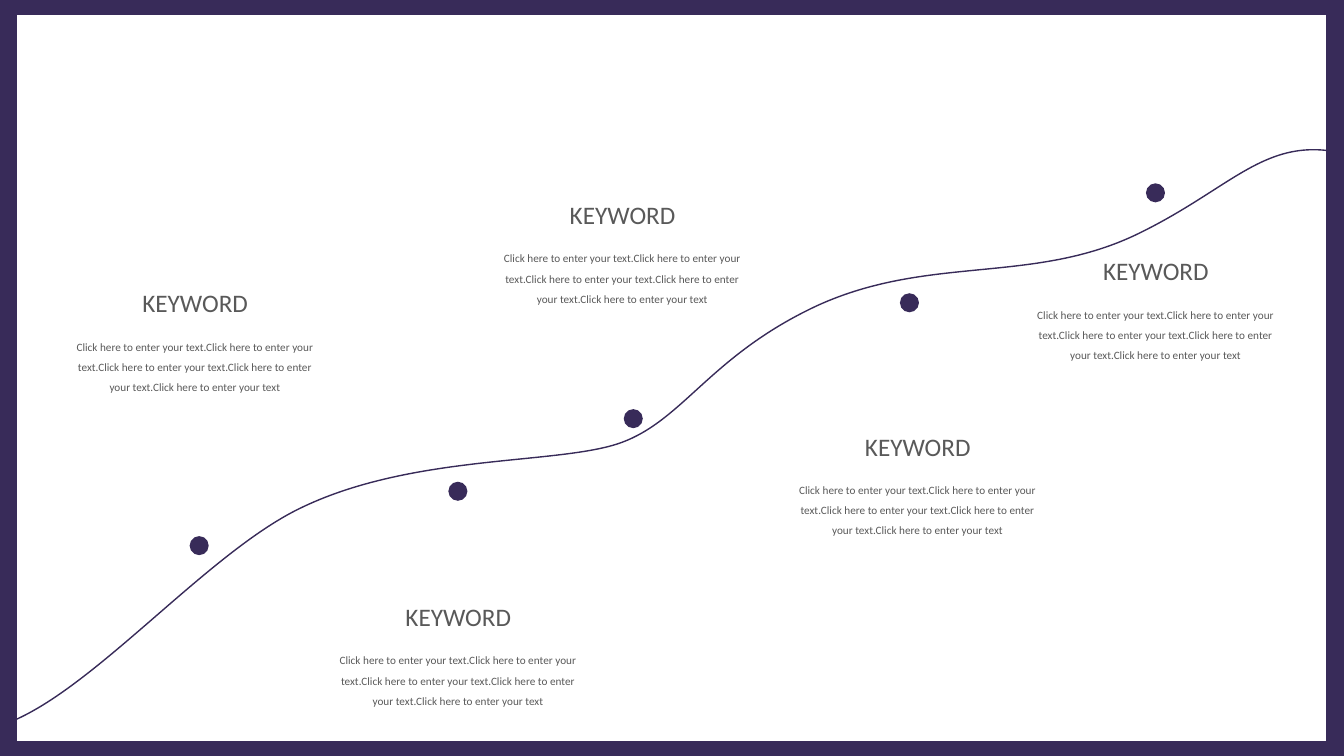
from lxml.etree import SubElement
from pptx import Presentation
from pptx.dml.color import RGBColor
from pptx.enum.shapes import MSO_SHAPE
from pptx.enum.text import MSO_ANCHOR, MSO_AUTO_SIZE, PP_ALIGN
from pptx.oxml.ns import qn
from pptx.util import Cm, Pt

COLORS = {"purple": "382B59", "grey": "595959", "white": "FFFFFF"}
COLORS = {name: RGBColor.from_string(value) for name, value in COLORS.items()}

SENTENCE = "Click here to enter your text."
DESCRIPTION = (SENTENCE * 5).rstrip(".")

# Lengths in centimetres
ROAD_LEFT, ROAD_TOP, ROAD_WIDTH, ROAD_HEIGHT = -0.91, 3.78, 35.1, 14.63
ROAD_START = (-0.91, 18.39)
# Each bend: two control points, then the end point
ROAD_BENDS = [
    [(1.32, 18.69), (4.75, 14.2), (7.52, 12.83)],
    [(10.29, 11.46), (13.87, 11.71), (15.52, 11.2)],
    [(17.2, 10.67), (17.83, 8.99), (20.6, 7.7)],
    [(23.39, 6.43), (25.96, 7.16), (28.58, 5.94)],
    [(31.19, 4.7), (31.95, 3.25), (34.21, 3.96)],
]
# Left and top of each stop's dot, then of its description
STOPS = [
    ((4.78, 13.51), (1.65, 8.28)),
    ((11.3, 12.14), (8.28, 16.18)),
    ((15.72, 10.31), (12.42, 6.05)),
    ((22.68, 7.39), (19.86, 11.89)),
    ((28.88, 4.62), (25.86, 7.47)),
]
DOT_SIZE = 0.48


def add_label(text, left, top, width, height, size, anchor, spacing):
    label = slide.shapes.add_textbox(Cm(left), Cm(top), Cm(width), Cm(height))
    frame = label.text_frame
    frame.text = text
    frame.word_wrap = True
    frame.auto_size = MSO_AUTO_SIZE.SHAPE_TO_FIT_TEXT
    frame.vertical_anchor = anchor
    paragraph = frame.paragraphs[0]
    paragraph.alignment = PP_ALIGN.CENTER
    paragraph.line_spacing = spacing
    font = paragraph.runs[0].font
    font.name = "Calibri"
    font.size = Pt(size)
    font.color.rgb = COLORS["grey"]


def add_path_step(path, tag, points):
    """Append a drawing step whose points are measured from the road's corner."""
    step = SubElement(path, qn(tag))
    for x, y in points:
        SubElement(step, qn("a:pt"), x=str(Cm(x - ROAD_LEFT)), y=str(Cm(y - ROAD_TOP)))


presentation = Presentation()
presentation.slide_width = Cm(33.87)
presentation.slide_height = Cm(19.05)
slide = presentation.slides.add_slide(presentation.slide_layouts[6])
slide.background.fill.solid()
slide.background.fill.fore_color.rgb = COLORS["white"]

border = slide.shapes.add_shape(
    MSO_SHAPE.RECTANGLE, Cm(0.18), Cm(0.13), Cm(33.5), Cm(18.8)
)
border.shadow.inherit = False
border.fill.background()
border.line.color.rgb = COLORS["purple"]
border.line.width = Pt(14.75)

# The road starts as straight pieces, which are then replaced by curves
builder = slide.shapes.build_freeform(Cm(ROAD_START[0]), Cm(ROAD_START[1]))
builder.add_line_segments(
    [(Cm(bend[-1][0]), Cm(bend[-1][1])) for bend in ROAD_BENDS], close=False
)
road = builder.convert_to_shape()
road.left, road.top = Cm(ROAD_LEFT), Cm(ROAD_TOP)
road.width, road.height = Cm(ROAD_WIDTH), Cm(ROAD_HEIGHT)
road.shadow.inherit = False
road.fill.background()
road.line.color.rgb = COLORS["purple"]
road.line.width = Pt(1)

route = road.element.find(".//" + qn("a:path"))
for piece in list(route):
    route.remove(piece)
route.set("w", str(road.width))
route.set("h", str(road.height))
add_path_step(route, "a:moveTo", [ROAD_START])
for bend in ROAD_BENDS:
    add_path_step(route, "a:cubicBezTo", bend)

for (dot_left, dot_top), _ in STOPS:
    dot = slide.shapes.add_shape(
        MSO_SHAPE.OVAL, Cm(dot_left), Cm(dot_top), Cm(DOT_SIZE), Cm(DOT_SIZE)
    )
    dot.shadow.inherit = False
    dot.fill.solid()
    dot.fill.fore_color.rgb = COLORS["purple"]
    dot.line.fill.background()

for _, (left, top) in STOPS:
    add_label(DESCRIPTION, left, top, 6.53, 1.8, 8, MSO_ANCHOR.TOP, 1.5)
    add_label("KEYWORD", left + 0.64, top - 1.16, 5.26, 1.02, 18, MSO_ANCHOR.MIDDLE, 1.0)

presentation.save("out.pptx")
